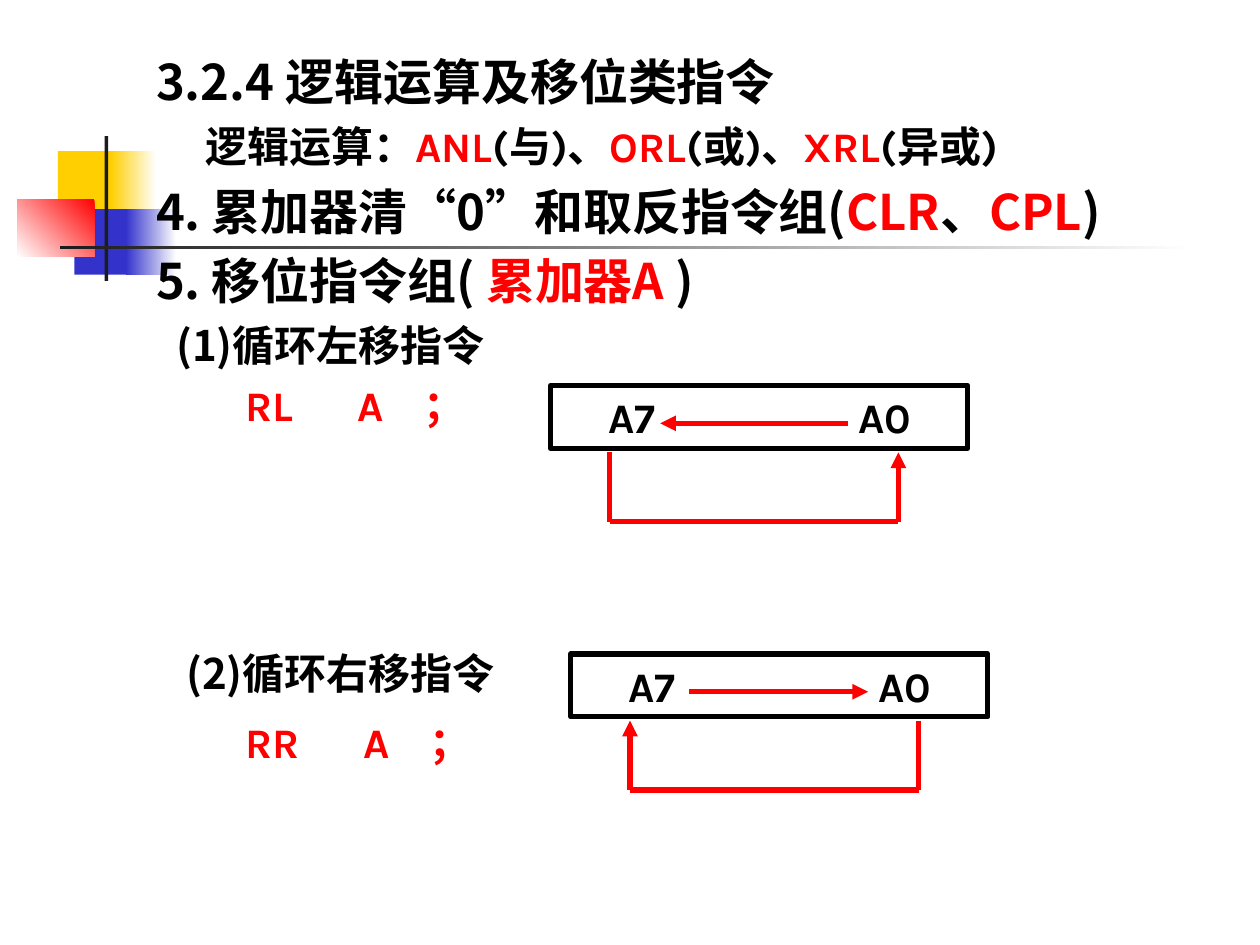
from dataclasses import dataclass

import pptx
import pptx.dml.color
import pptx.enum.shapes
import pptx.enum.text
import pptx.oxml
import pptx.oxml.ns
import pptx.util
from pptx.dml.color import RGBColor
from pptx.util import Inches

BLACK = RGBColor(0x00, 0x00, 0x00)
WHITE = RGBColor(0xFF, 0xFF, 0xFF)
RED = RGBColor(0xFF, 0x00, 0x00)
YELLOW = RGBColor(0xFF, 0xCF, 0x01)
BLUE = RGBColor(0x33, 0x33, 0xCC)
CHARCOAL = RGBColor(0x1C, 0x1C, 0x1C)

LATIN = "Karla"
CHINESE = "Noto Sans CJK SC"
BOX_HEIGHT = 0.5


@dataclass
class Block:
    left: float
    top: float
    width: float
    height: float
    colors: tuple  # one colour is solid, two make a gradient
    angle: int = 180


@dataclass
class TextLine:
    left: float
    top: float
    width: float
    runs: list  # (text, colour) pairs
    size: int = 24
    font: str = CHINESE
    tabs: tuple = ()


@dataclass
class Rotation:
    left: float
    top: float
    to_left: bool


BLOCKS = [
    Block(0.46, 1.2, 0.48, 0.52, (YELLOW,)),
    Block(0.88, 1.2, 0.36, 0.52, (WHITE, YELLOW)),
    Block(0.59, 1.66, 0.46, 0.52, (BLUE,)),
    Block(1, 1.66, 0.4, 0.52, (WHITE, BLUE)),
    Block(0.14, 1.58, 0.61, 0.46, (RED, WHITE), 225),
    Block(0.83, 1.08, 0.03, 1.15, (CHARCOAL,)),
    Block(0.48, 1.95, 9, 0.03, (WHITE, CHARCOAL)),
]

LINES = [
    TextLine(1.14, 0.36, 7.75, [("3.2.4 逻辑运算及移位类指令", BLACK)], 28),
    TextLine(1.53, 0.91, 7.64, [
        ("逻辑运算：", BLACK), ("ANL", RED), ("(与)、", BLACK), ("ORL", RED),
        ("(或)、", BLACK), ("XRL", RED), ("(异或)", BLACK)], font=LATIN),
    TextLine(1.14, 1.39, 8.5, [
        ("4. 累加器清“0”和取反指令组(", BLACK), ("CLR", RED), ("、", BLACK),
        ("CPL", RED), (")", BLACK)], 28),
    TextLine(1.14, 1.94, 8.5, [
        ("5. 移位指令组( ", BLACK), ("累加器A ", RED), (")", BLACK)], 28),
    TextLine(1.3, 2.49, 7.48, [("(1)循环左移指令", BLACK)]),
    TextLine(1.85, 2.96, 2.28, [("RL\tA\t；", RED)], font=LATIN, tabs=(0.89, 1.41)),
    TextLine(1.38, 5.09, 2.99, [("(2)循环右移指令", BLACK)]),
    TextLine(1.85, 5.64, 2.28, [("RR\tA\t；", RED)], font=LATIN, tabs=(0.94, 1.46)),
]

ROTATIONS = [Rotation(4.37, 3.06, True), Rotation(4.53, 5.19, False)]


def draw_block(slide, block: Block) -> None:
    bar = slide.shapes.add_shape(
        pptx.enum.shapes.MSO_SHAPE.RECTANGLE, Inches(block.left), Inches(block.top),
        Inches(block.width), Inches(block.height))
    bar.shadow.inherit = False
    bar.line.fill.background()
    if len(block.colors) == 1:
        bar.fill.solid()
        bar.fill.fore_color.rgb = block.colors[0]
        return
    bar.fill.gradient()
    bar.fill.gradient_angle = block.angle
    for stop, color in zip(bar.fill.gradient_stops, block.colors):
        stop.color.rgb = color


def write_runs(paragraph, line: TextLine) -> None:
    if line.tabs:
        tab_list = pptx.oxml.ns.qn("a:tabLst")
        stops = paragraph._p.get_or_add_pPr().makeelement(tab_list, {})
        paragraph._p.get_or_add_pPr().append(stops)
        for position in line.tabs:
            stops.append(stops.makeelement(
                pptx.oxml.ns.qn("a:tab"), {"pos": str(Inches(position)), "algn": "l"}))
    paragraph.alignment = pptx.enum.text.PP_ALIGN.LEFT
    for text, color in line.runs:
        run = paragraph.add_run()
        run.text = text
        run.font.size = pptx.util.Pt(line.size)
        run.font.bold = True
        run.font.name = line.font
        run.font.color.rgb = color
        properties = run.font._element
        properties.append(properties.makeelement(
            pptx.oxml.ns.qn("a:ea"), {"typeface": CHINESE}))


def draw_text(slide, line: TextLine) -> None:
    height = 0.57 if line.size == 28 else BOX_HEIGHT
    box = slide.shapes.add_textbox(
        Inches(line.left), Inches(line.top), Inches(line.width), Inches(height))
    box.text_frame.word_wrap = True
    write_runs(box.text_frame.paragraphs[0], line)


def draw_line(slide, start: tuple, end: tuple, arrow: bool = False) -> None:
    wire = slide.shapes.add_connector(
        pptx.enum.shapes.MSO_CONNECTOR.STRAIGHT, Inches(start[0]), Inches(start[1]),
        Inches(end[0]), Inches(end[1]))
    wire.line.color.rgb = RED
    wire.line.width = pptx.util.Pt(3)
    if arrow:
        outline = wire.line._get_or_add_ln()
        outline.append(outline.makeelement(
            pptx.oxml.ns.qn("a:tailEnd"), {"type": "triangle"}))
    properties = wire._element.spPr
    properties.append(properties.makeelement(pptx.oxml.ns.qn("a:effectLst"), {}))


def draw_rotation(slide, rotation: Rotation) -> None:
    left, top = rotation.left, rotation.top

    # Register with its highest and lowest bit
    register = slide.shapes.add_shape(
        pptx.enum.shapes.MSO_SHAPE.RECTANGLE, Inches(left), Inches(top),
        Inches(3.31), Inches(BOX_HEIGHT))
    register.shadow.inherit = False
    register.fill.background()
    register.line.color.rgb = BLACK
    register.line.width = pptx.util.Pt(3)
    frame = register.text_frame
    frame.word_wrap = True
    frame.margin_left = Inches(0.46)
    frame.vertical_anchor = pptx.enum.text.MSO_ANCHOR.MIDDLE
    bits = TextLine(left, top, 3.31, [("A7\tA0", BLACK)], font=LATIN, tabs=(1.98,))
    write_runs(frame.paragraphs[0], bits)

    # Shift direction inside the register
    shift_y = top + 0.3
    shift = (2.36, 0.87) if rotation.to_left else (0.94, 2.36)
    draw_line(slide, (left + shift[0], shift_y), (left + shift[1], shift_y), True)

    # Loop from the outgoing bit back to the incoming bit
    out_x, in_x = left + 0.47, left + 2.76
    if not rotation.to_left:
        out_x, in_x = in_x, out_x
    upper, lower = top + 0.53, top + 1.08
    draw_line(slide, (out_x, upper), (out_x, lower))
    draw_line(slide, (out_x, lower), (in_x, lower))
    draw_line(slide, (in_x, lower), (in_x, upper), True)


def main() -> None:
    deck = pptx.Presentation()
    deck.slide_width, deck.slide_height = Inches(10), Inches(7.5)
    slide = deck.slides.add_slide(deck.slide_layouts[6])

    # Decoration, text, then the two rotation diagrams
    for block in BLOCKS:
        draw_block(slide, block)
    for line in LINES:
        draw_text(slide, line)
    for rotation in ROTATIONS:
        draw_rotation(slide, rotation)

    deck.save("out.pptx")


if __name__ == "__main__":
    main()
